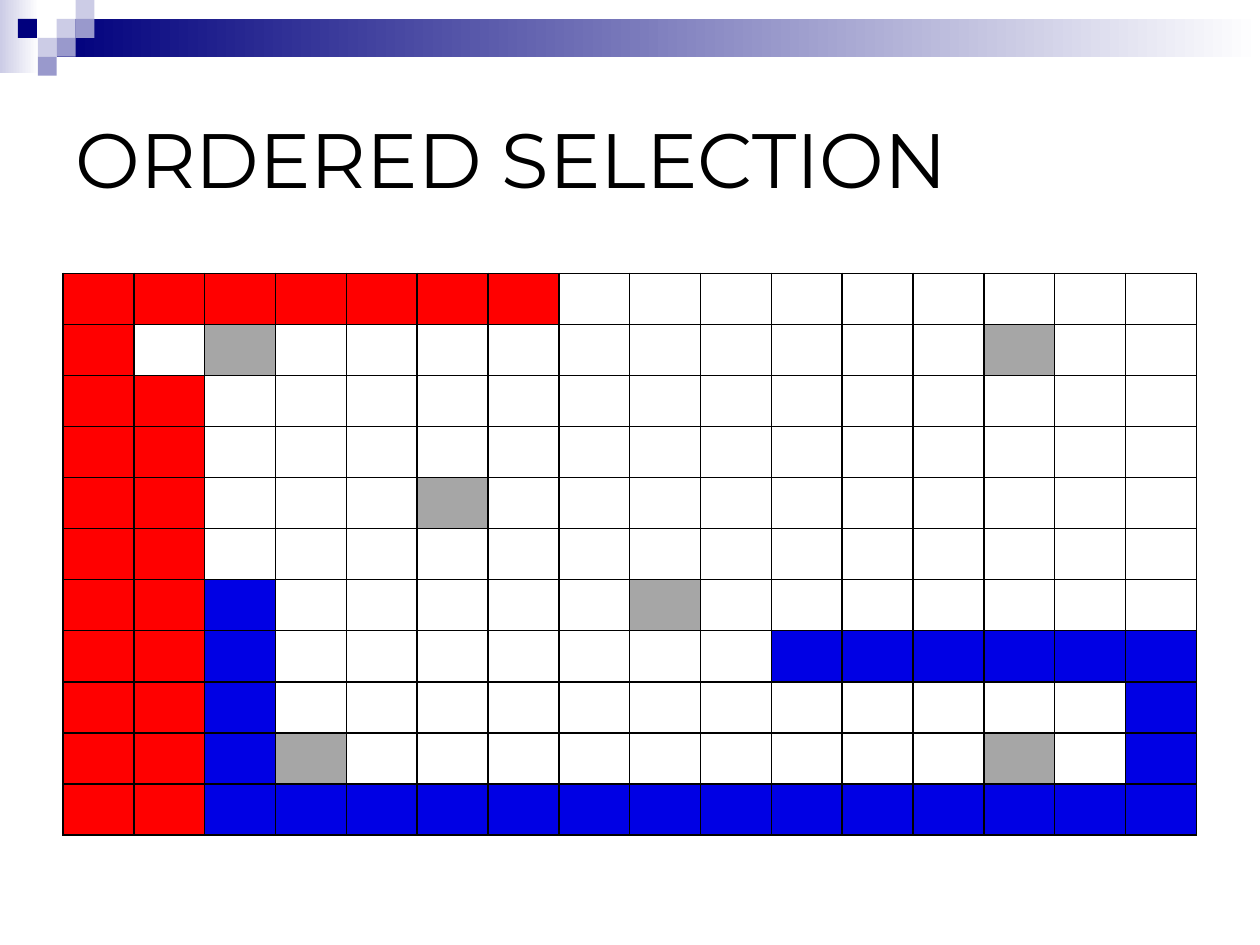
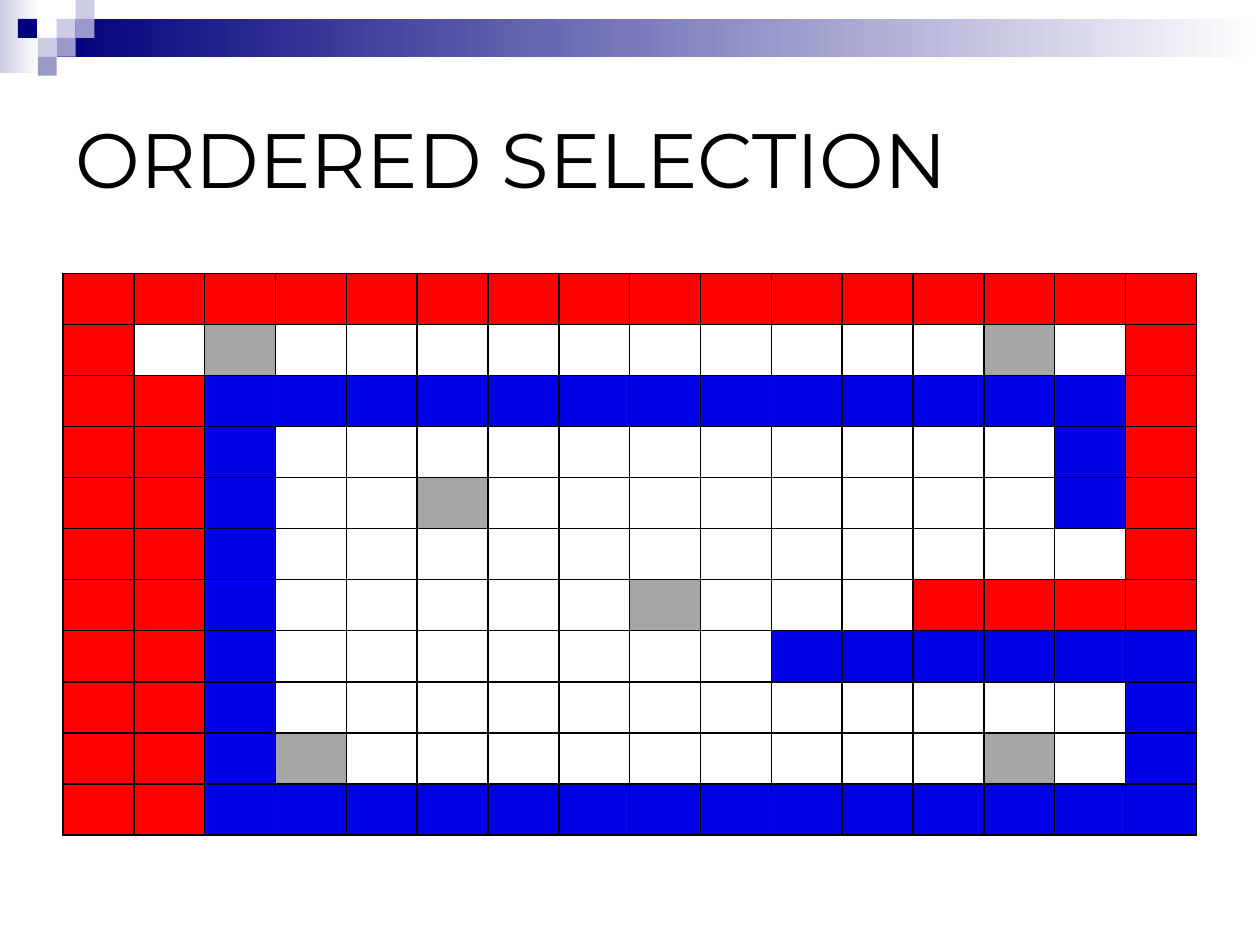
from dataclasses import dataclass

from lxml import etree
from pptx import Presentation
from pptx.dml.color import RGBColor
from pptx.enum import shapes, text
from pptx.oxml import ns
from pptx.util import Inches, Pt


@dataclass(frozen=True)
class Theme:
    navy: str = "00007D"
    lilac: str = "9999CC"
    pale: str = "CCCCE6"
    white: str = "FFFFFF"
    black: str = "000000"
    red: str = "FF0000"
    blue: str = "0000E4"
    gray: str = "A6A6A6"
    font: str = "Montserrat"
    title_size: int = 44
    border_width: int = 1


THEME = Theme()
CELL_COLORS = {"R": THEME.red, "B": THEME.blue, "G": THEME.gray, ".": THEME.white}

# Boxes: left, top, width, height in inches
TITLE_BOX = (0.5, 0.5, 9, 1.5)
GRID_BOX = (0.5, 2.17, 9, 4.46)
BAND_BOX = (0, 0, 10, 0.6)
TILE = 0.15

TITLE = "ORDERED SELECTION"
FIRST_STEP = """
RRRRRRR.........
R.G..........G..
RR..............
RR..............
RR...G..........
RR..............
RRB.....G.......
RRB.......BBBBBB
RRB............B
RRBG.........G.B
RRBBBBBBBBBBBBBB
""".split()
LAST_STEP = """
RRRRRRRRRRRRRRRR
R.G..........G.R
RRBBBBBBBBBBBBBR
RRB...........BR
RRB..G........BR
RRB............R
RRB.....G...RRRR
RRB.......BBBBBB
RRB............B
RRBG.........G.B
RRBBBBBBBBBBBBBB
""".split()


def rgb(color):
    return RGBColor.from_string(color)


def inches(box):
    return [Inches(v) for v in box]


def set_text(tf, words, size, color=THEME.black, font=THEME.font,
             align=text.PP_ALIGN.LEFT, anchor=text.MSO_ANCHOR.MIDDLE):
    tf.word_wrap = True
    tf.auto_size = text.MSO_AUTO_SIZE.NONE
    tf.vertical_anchor = anchor
    p = tf.paragraphs[0]
    p.alignment = align
    r = p.add_run()
    r.text = words
    r.font.size, r.font.name = Pt(size), font
    r.font.color.rgb = rgb(color)


def add_rect(slide, box, *colors):
    """Add a plain rectangle; two colours make a left-to-right gradient."""
    sp = slide.shapes.add_shape(shapes.MSO_SHAPE.RECTANGLE, *inches(box))
    sp.shadow.inherit = False
    sp.line.fill.background()
    if len(colors) == 1:
        sp.fill.solid()
        sp.fill.fore_color.rgb = rgb(colors[0])
    else:
        sp.fill.gradient()
        sp.fill.gradient_angle = 0
        for stop, color in zip(sp.fill.gradient_stops, colors):
            stop.color.rgb = rgb(color)


def add_band(slide, box):
    left, top, width, _ = box

    # Gradient bars
    add_rect(slide, (left, top, 0.31, 0.58), THEME.pale, THEME.white)
    add_rect(slide, (left + 3 * TILE, top + TILE, width - 3 * TILE, 2 * TILE),
             THEME.navy, THEME.white)

    # Checker tiles: column, row, colour
    tiles = [(3, 1, THEME.pale), (4, 0, THEME.pale), (4, 1, THEME.lilac),
             (2, 2, THEME.pale), (0.95, 1, THEME.navy), (3, 2, THEME.lilac),
             (2, 3, THEME.lilac)]
    for col, row, color in tiles:
        add_rect(slide, (left + col * TILE, top + row * TILE, TILE, TILE), color)


def add_borders(cell):
    tc_pr = cell._tc.get_or_add_tcPr()
    for side in ("a:lnL", "a:lnR", "a:lnT", "a:lnB"):
        ln = etree.SubElement(tc_pr, ns.qn(side), w=str(Pt(THEME.border_width)))
        fill = etree.SubElement(ln, ns.qn("a:solidFill"))
        etree.SubElement(fill, ns.qn("a:srgbClr"), val=THEME.black)


def add_grid(slide, box, rows):
    table = slide.shapes.add_table(len(rows), len(rows[0]), *inches(box)).table
    table.first_row = table.horz_banding = False
    for r, row in enumerate(rows):
        for c, mark in enumerate(row):
            cell = table.cell(r, c)
            cell.margin_top = cell.margin_bottom = 0
            add_borders(cell)
            cell.fill.solid()
            cell.fill.fore_color.rgb = rgb(CELL_COLORS[mark])


def add_title(slide, box, words):
    title = slide.shapes.title
    title.left, title.top, title.width, title.height = inches(box)
    set_text(title.text_frame, words, THEME.title_size)


def add_grid_slide(prs, rows):
    slide = prs.slides.add_slide(prs.slide_layouts.get_by_name("Title Only"))
    add_band(slide, BAND_BOX)
    add_title(slide, TITLE_BOX, TITLE)
    add_grid(slide, GRID_BOX, rows)


def main():
    prs = Presentation()
    prs.slide_width, prs.slide_height = Inches(10), Inches(7.5)
    background = prs.slide_master.background.fill
    background.solid()
    background.fore_color.rgb = rgb(THEME.white)

    for rows in (FIRST_STEP, LAST_STEP):
        add_grid_slide(prs, rows)
    prs.save("out.pptx")


if __name__ == "__main__":
    main()
